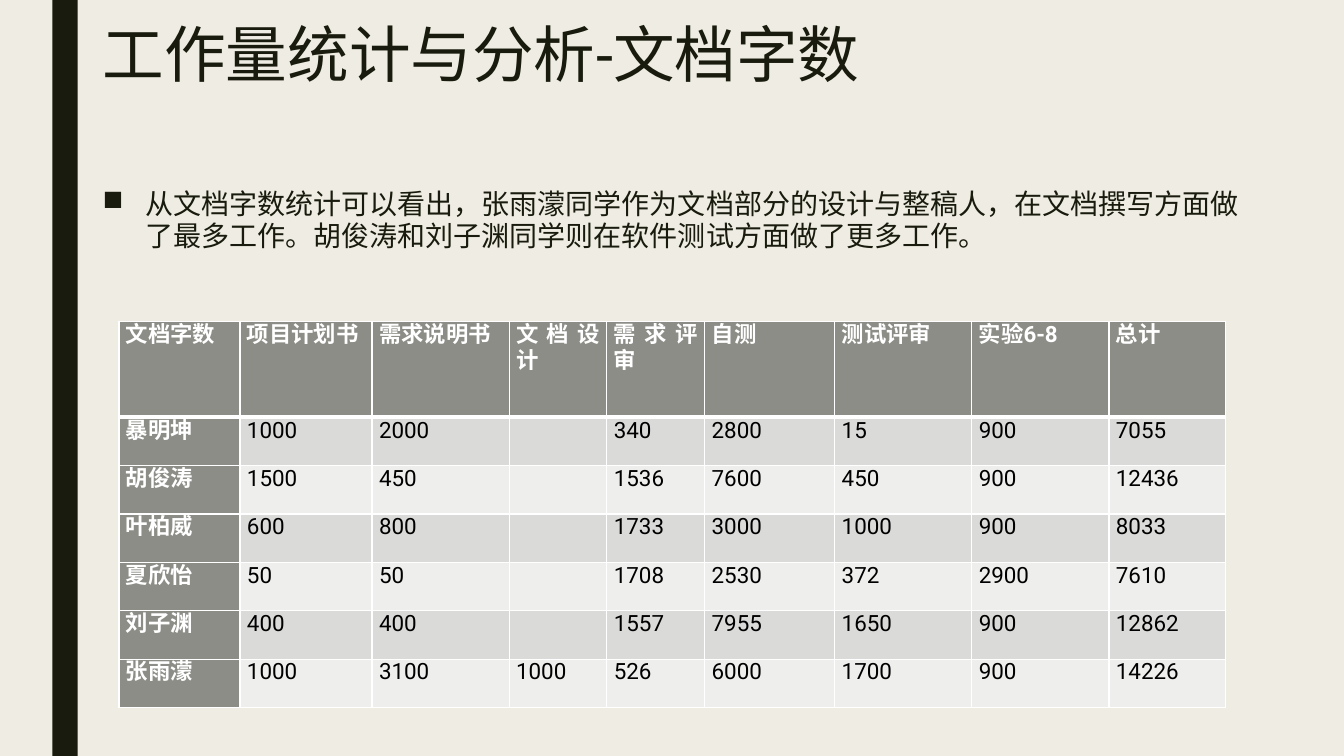
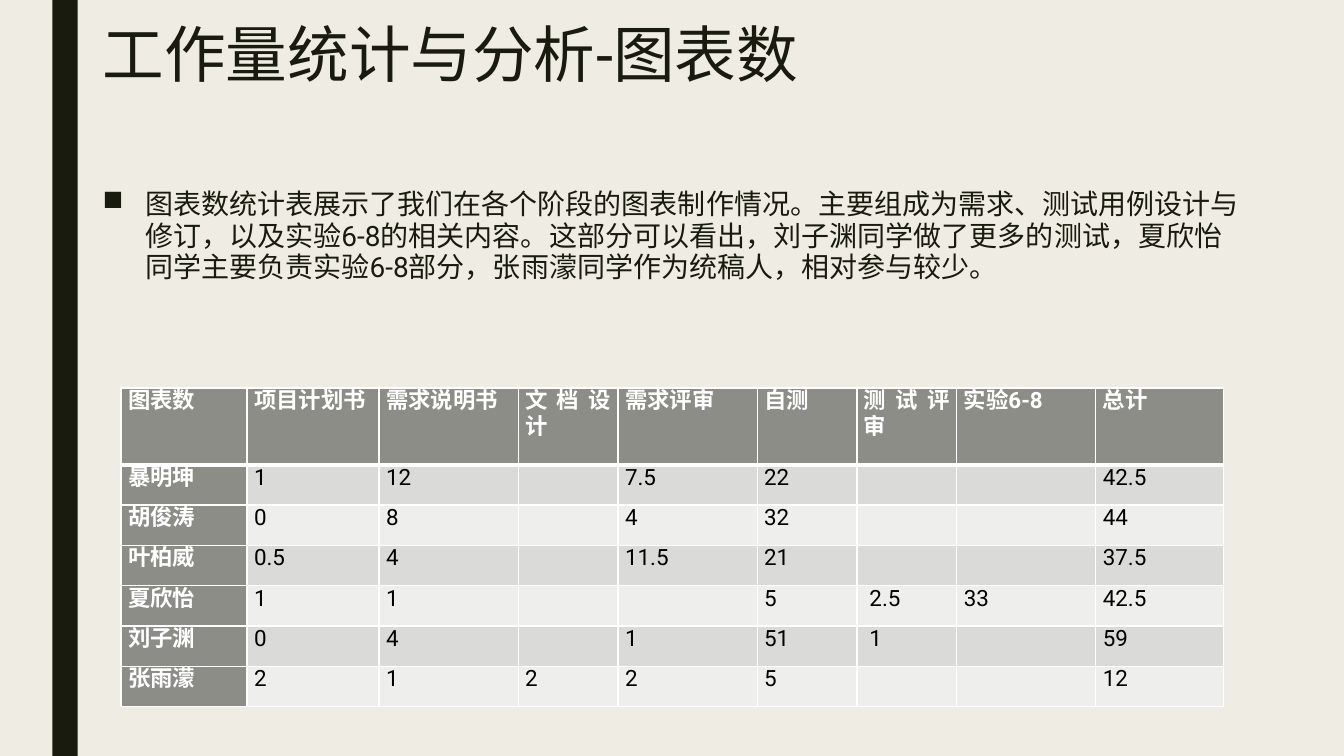
from dataclasses import dataclass

from lxml.etree import SubElement
from pptx import Presentation
from pptx.dml.color import RGBColor
from pptx.enum.lang import MSO_LANGUAGE_ID as Language
from pptx.enum.shapes import MSO_SHAPE as Shape
from pptx.enum.text import MSO_ANCHOR as Anchor, PP_ALIGN as Align
from pptx.oxml.ns import qn
from pptx.util import Inches, Pt


@dataclass(frozen=True)
class Theme:
    font: str = "Roboto"
    background: str = "EFEDE3"
    ink: str = "191B0E"
    heading_fill: str = "8C8D86"
    stripes: tuple = ("DADBD9", "EEEEED")
    white: str = "FFFFFF"
    black: str = "000000"
    title_size: int = 44
    body_size: int = 20
    table_size: int = 16
    thin_line: int = 1
    thick_line: int = 3


THEME = Theme()
STAGES = ["项目计划书", "需求说明书", "文档设计", "需求评审", "自测", "测试评审", "实验6-8", "总计"]
MEMBERS = ["暴明坤", "胡俊涛", "叶柏威", "夏欣怡", "刘子渊", "张雨濛"]

WORD_COUNTS = [
    ["1000", "2000", "", "340", "2800", "15", "900", "7055"],
    ["1500", "450", "", "1536", "7600", "450", "900", "12436"],
    ["600", "800", "", "1733", "3000", "1000", "900", "8033"],
    ["50", "50", "", "1708", "2530", "372", "2900", "7610"],
    ["400", "400", "", "1557", "7955", "1650", "900", "12862"],
    ["1000", "3100", "1000", "526", "6000", "1700", "900", "14226"],
]
CHART_COUNTS = [
    ["1", "12", "", "7.5", "22", "", "", "42.5"],
    ["0", "8", "", "4", "32", "", "", "44"],
    ["0.5", "4", "", "11.5", "21", "", "", "37.5"],
    ["1", "1", "", "", "5", " 2.5", "33", "42.5"],
    ["0", "4", "", "1", "51", " 1", "", "59"],
    ["2", "1", "2", "2", "5", "", "", "12"],
]


def color(value):
    return RGBColor.from_string(value)


def format_runs(paragraph, size, ink, bold=False):
    for run in paragraph.runs:
        font = run.font
        font.name = THEME.font
        font.size = Pt(size)
        font.bold = bold
        font.color.rgb = color(ink)
        font.language_id = Language.SIMPLIFIED_CHINESE
        SubElement(font._element, qn("a:ea"), typeface=THEME.font)


def add_text(slide, text, top, height, size, line_spacing):
    text_box = slide.shapes.add_textbox(Inches(0.92), Inches(top), Inches(11.5), Inches(height))
    text_frame = text_box.text_frame
    text_frame.word_wrap = True
    text_frame.vertical_anchor = Anchor.TOP
    text_frame.text = text
    paragraph = text_frame.paragraphs[0]
    paragraph.line_spacing = line_spacing
    format_runs(paragraph, size, THEME.ink)
    return paragraph


def add_bullet(paragraph, indent):
    properties = paragraph._p.get_or_add_pPr()
    properties.set("marL", str(Inches(indent)))
    properties.set("indent", str(-Inches(indent)))
    SubElement(properties, qn("a:buChar"), char="■")


def add_base_slide(presentation, title, summary):
    slide = presentation.slides.add_slide(presentation.slide_layouts[6])
    fill = slide.background.fill
    fill.solid()
    fill.fore_color.rgb = color(THEME.background)

    band = slide.shapes.add_shape(
        Shape.RECTANGLE, Inches(0.52), 0, Inches(0.25), presentation.slide_height
    )
    band.shadow.inherit = False
    band.fill.solid()
    band.fill.fore_color.rgb = color(THEME.ink)
    band.line.fill.background()

    add_text(slide, title, 0.2, 1.45, THEME.title_size, 0.89)
    paragraph = add_text(slide, summary, 1.83, 4.76, THEME.body_size, 0.94)
    paragraph.space_before = Pt(10)
    paragraph.space_after = Pt(2)
    add_bullet(paragraph, 0.42)
    return slide


def set_borders(cell, top, bottom):
    properties = cell._tc.get_or_add_tcPr()
    widths = {"L": THEME.thin_line, "R": THEME.thin_line, "T": top, "B": bottom}
    for side, width in widths.items():
        line = SubElement(properties, qn(f"a:ln{side}"), w=str(Pt(width)))
        line_fill = SubElement(line, qn("a:solidFill"))
        SubElement(line_fill, qn("a:srgbClr"), val=THEME.white)


def fill_cell(cell, text, row, column):
    is_heading = row == 0 or column == 0
    cell.margin_left = cell.margin_right = Inches(0.07)
    cell.margin_top = cell.margin_bottom = 0
    set_borders(
        cell,
        top=THEME.thick_line if row == 1 else THEME.thin_line,
        bottom=THEME.thick_line if row == 0 else THEME.thin_line,
    )
    cell.fill.solid()
    cell.fill.fore_color.rgb = color(
        THEME.heading_fill if is_heading else THEME.stripes[(row - 1) % 2]
    )
    if text:
        cell.text_frame.text = text
        paragraph = cell.text_frame.paragraphs[0]
        paragraph.alignment = Align.JUSTIFY
        ink = THEME.white if is_heading else THEME.black
        format_runs(paragraph, THEME.table_size, ink, is_heading)


def add_count_table(slide, corner, counts, left, top, widths, heading_height, row_height):
    rows = [[corner, *STAGES]]
    rows += [[member, *values] for member, values in zip(MEMBERS, counts)]
    heights = [heading_height] + [row_height] * len(counts)
    table = slide.shapes.add_table(
        len(rows), len(widths), Inches(left), Inches(top),
        Inches(sum(widths)), Inches(sum(heights)),
    ).table
    for column, width in zip(table.columns, widths):
        column.width = Inches(width)
    for table_row, height in zip(table.rows, heights):
        table_row.height = Inches(height)
    for row, values in enumerate(rows):
        for column, text in enumerate(values):
            fill_cell(table.cell(row, column), text, row, column)


def main():
    presentation = Presentation()
    presentation.slide_width = Inches(13.33)
    presentation.slide_height = Inches(7.5)

    slide = add_base_slide(
        presentation,
        "工作量统计与分析-文档字数",
        "从文档字数统计可以看出，张雨濛同学作为文档部分的设计与整稿人，在文档撰写方面做了最多工作。"
        "胡俊涛和刘子渊同学则在软件测试方面做了更多工作。",
    )
    add_count_table(
        slide, "文档字数", WORD_COUNTS, 1.18, 3.19,
        [1.2, 1.31, 1.36, 0.97, 0.97, 1.29, 1.36, 1.36, 1.16], 0.95, 0.48,
    )

    slide = add_base_slide(
        presentation,
        "工作量统计与分析-图表数",
        "图表数统计表展示了我们在各个阶段的图表制作情况。主要组成为需求、测试用例设计与修订，"
        "以及实验6-8的相关内容。这部分可以看出，刘子渊同学做了更多的测试，"
        "夏欣怡同学主要负责实验6-8部分，张雨濛同学作为统稿人，相对参与较少。",
    )
    add_count_table(
        slide, "图表数", CHART_COUNTS, 1.2, 3.85,
        [1.25, 1.31, 1.38, 0.99, 1.38, 0.99, 0.99, 1.38, 1.27], 0.76, 0.4,
    )

    presentation.save("out.pptx")


if __name__ == "__main__":
    main()
